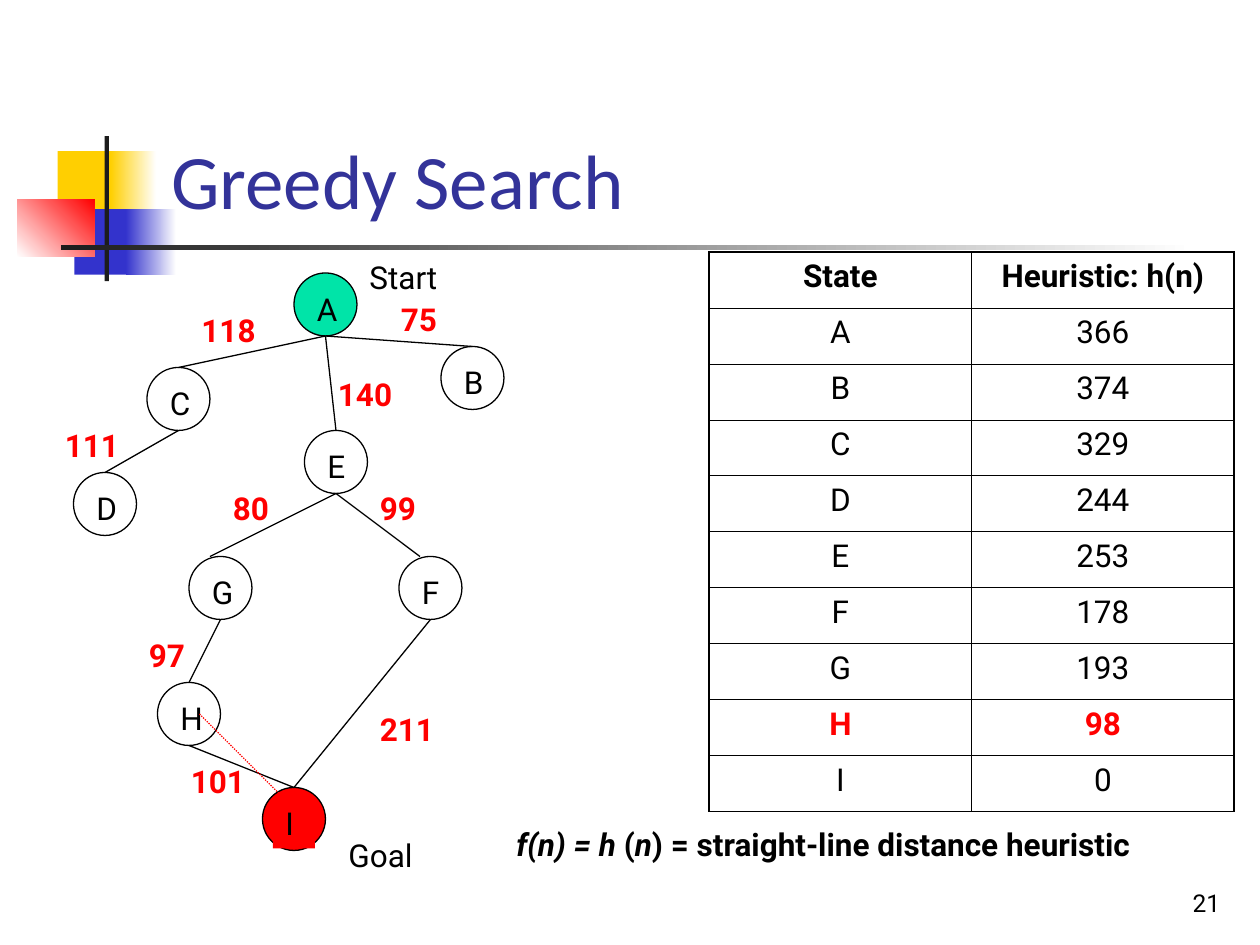
import pptx
import pptx.util
import pptx.dml.color
import pptx.enum.dml
import pptx.enum.shapes
import pptx.enum.text
import pptx.oxml.ns
from lxml import etree

Pt = pptx.util.Pt
RGB = pptx.dml.color.RGBColor.from_string
qn = pptx.oxml.ns.qn
Align = pptx.enum.text.PP_ALIGN
Anchor = pptx.enum.text.MSO_ANCHOR
Kind = pptx.enum.shapes.MSO_SHAPE
hues = {"black": "000000", "white": "FFFFFF", "red": "FF0000", "green": "00E4A8",
        "gold": "FFCF01", "blue": "3333CC", "dark": "1C1C1C", "title": "333399"}

deck = pptx.Presentation()
deck.slide_width, deck.slide_height = Pt(720), Pt(540)
slide = deck.slides.add_slide(deck.slide_layouts[6])
shapes = slide.shapes


def write(home, x, y, w, h, text, size=18, hue="black", bold=False,
          face="Roboto", align=Align.LEFT, anchor=Anchor.TOP):
    box = home.add_textbox(Pt(x), Pt(y), Pt(w), Pt(h))
    frame = box.text_frame
    frame.word_wrap = True
    frame.vertical_anchor = anchor
    para = frame.paragraphs[0]
    para.alignment = align
    para.font.size, para.font.name, para.font.bold = Pt(size), face, bold
    para.font.color.rgb = RGB(hues[hue])
    if text:
        para.add_run().text = text
    return box


def join(x1, y1, x2, y2, hue="black"):
    line = shapes.add_connector(pptx.enum.shapes.MSO_CONNECTOR.STRAIGHT,
                                Pt(x1), Pt(y1), Pt(x2), Pt(y2))
    line.line.color.rgb = RGB(hues[hue])
    line.line.width = Pt(0.75)
    etree.SubElement(line._element.spPr, qn("a:effectLst"))
    return line


for x, y, w, h, start, end, angle in [
    (33, 86.4, 34.8, 37.4, "gold", None, 0),
    (63.3, 86.4, 26, 37.4, "gold", "white", 0),
    (42.5, 119.5, 33, 37.4, "blue", None, 0),
    (72, 119.5, 28.8, 37.4, "blue", "white", 0),
    (10, 113.8, 44, 33, "white", "red", 45),
    (59.8, 77.8, 2.4, 82.8, "dark", None, 0),
    (34.6, 140.2, 648, 2.4, "dark", "white", 0),
]:
    block = shapes.add_shape(Kind.RECTANGLE, Pt(x), Pt(y), Pt(w), Pt(h))
    block.shadow.inherit = False
    block.line.fill.background()
    if end:
        block.fill.gradient()
        block.fill.gradient_angle = angle
        for stop, hue in zip(block.fill.gradient_stops, (start, end)):
            stop.color.rgb = RGB(hues[hue])
    else:
        block.fill.solid()
        block.fill.fore_color.rgb = RGB(hues[start])

write(shapes, 90.7, 16.6, 613.4, 115.2, "Greedy Search", 44, "title",
      face="Calibri", anchor=Anchor.BOTTOM)
write(shapes, 554.4, 492, 150, 36, "21", 14, align=Align.RIGHT, anchor=Anchor.BOTTOM)

side = 36
nodes = {"A": (168, 156), "B": (252, 198), "C": (84, 210), "D": (42, 270), "E": (174, 246),
         "F": (228, 318), "G": (108, 318), "H": (90, 390), "I": (150, 450)}
fills = {"A": "green", "I": "red"}
for name, (x, y) in nodes.items():
    group = shapes.add_group_shape()
    ring = group.shapes.add_shape(Kind.OVAL, Pt(x), Pt(y), Pt(side), Pt(side))
    ring.shadow.inherit = False
    ring.line.color.rgb = RGB(hues["black"])
    ring.line.width = Pt(0.75)
    ring.fill.background()
    if name in fills:
        ring.fill.solid()
        ring.fill.fore_color.rgb = RGB(hues[fills[name]])
    label = write(group.shapes, x + 6, y + 6, 24, 28.8, name)
    if name == "I":
        label.fill.solid()
        label.fill.fore_color.rgb = RGB(hues["red"])

for top, low, shift, cost, x, y in [
    ("A", "B", 0, "75", 222, 168),
    ("A", "C", 0, "118", 108, 174),
    ("A", "E", 0, "140", 186, 211),
    ("C", "D", 0, "111", 30, 240),
    ("E", "F", -6, "99", 210, 276),
    ("E", "G", -6, "80", 126, 276),
    ("G", "H", 0, "97", 78, 360),
    ("F", "I", 0, "211", 210, 402),
    ("H", "I", 0, "101", 102, 432),
]:
    (x1, y1), (x2, y2) = nodes[top], nodes[low]
    join(x1 + side / 2, y1 + side, x2 + side / 2 + shift, y2)
    write(shapes, x, y, 60, 28.8, cost, hue="red", bold=True)

write(shapes, 204, 144, 96, 28.8, "Start")
write(shapes, 192, 474, 96, 28.8, "Goal")
rule = write(shapes, 288, 468, 432, 28.8, "", bold=True).text_frame.paragraphs[0]
for text, slant in [("f(n) = h ", True), ("(", False), ("n", True),
                    (") = straight-line distance heuristic", False)]:
    run = rule.add_run()
    run.text = text
    run.font.italic = slant

rows = [("State", "Heuristic: h(n)"), ("A", "366"), ("B", "374"), ("C", "329"), ("D", "244"),
        ("E", "253"), ("F", "178"), ("G", "193"), ("H", "98"), ("I", "0")]
table = shapes.add_table(len(rows), 2, Pt(405.25), Pt(144), Pt(300), Pt(320)).table
table.first_row = table.horz_banding = False
for r, row in enumerate(rows):
    table.rows[r].height = Pt(32)
    for c, text in enumerate(row):
        cell = table.cell(r, c)
        cell.text = text
        para = cell.text_frame.paragraphs[0]
        para.alignment = Align.CENTER
        para.font.size, para.font.name = Pt(18), "Roboto"
        para.font.bold = r == 0 or row[0] == "H"
        para.font.color.rgb = RGB(hues["red" if row[0] == "H" else "black"])
        cell.fill.background()
        edges = {"L": c == 0, "R": c == 1, "T": r == 0, "B": r == len(rows) - 1}
        props = cell._tc.get_or_add_tcPr()
        for spot, (edge, outer) in enumerate(edges.items()):
            line = etree.Element(qn("a:ln" + edge), w=str(Pt(1.08 if outer else 0.45)))
            solid = etree.SubElement(line, qn("a:solidFill"))
            etree.SubElement(solid, qn("a:srgbClr"), val=hues["black"])
            props.insert(spot, line)

arrow = join(114, 408, 168, 462, "red")
arrow.line.dash_style = pptx.enum.dml.MSO_LINE.ROUND_DOT
etree.SubElement(arrow.line._get_or_add_ln(), qn("a:tailEnd"), type="triangle")

deck.save("out.pptx")
